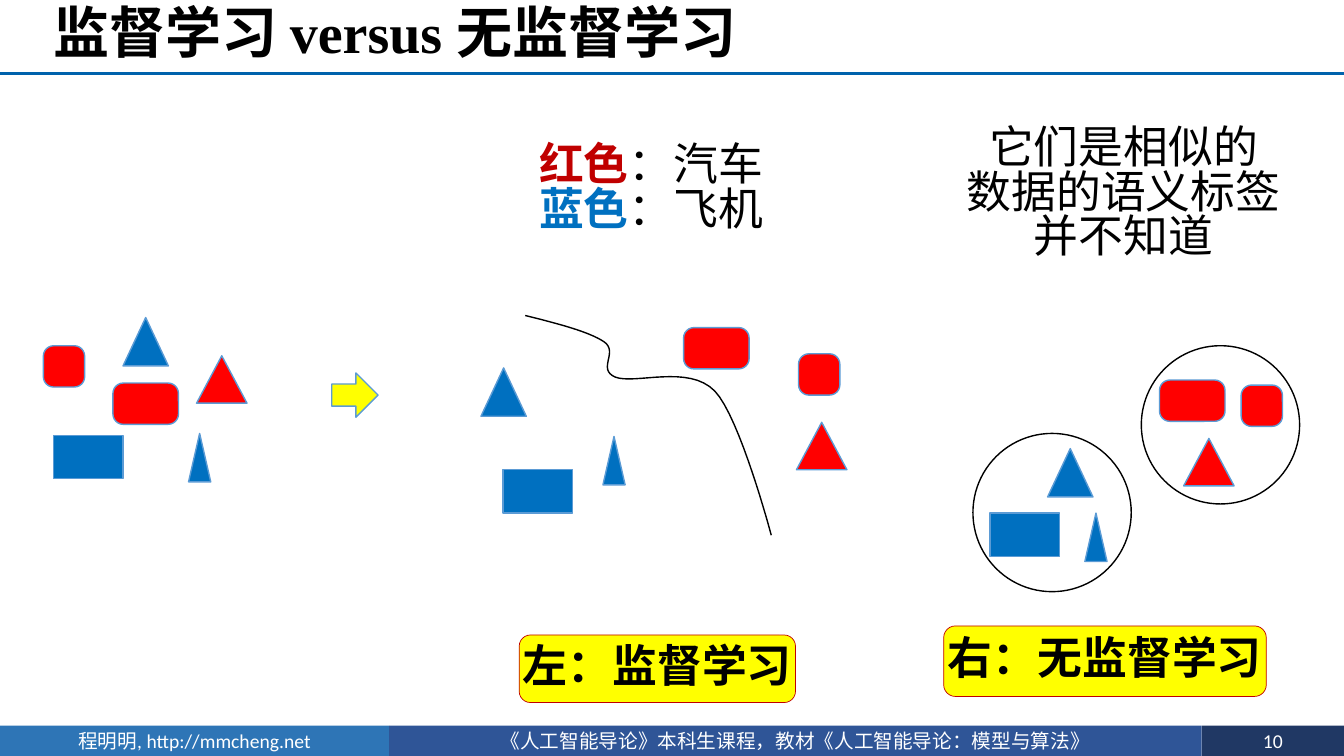
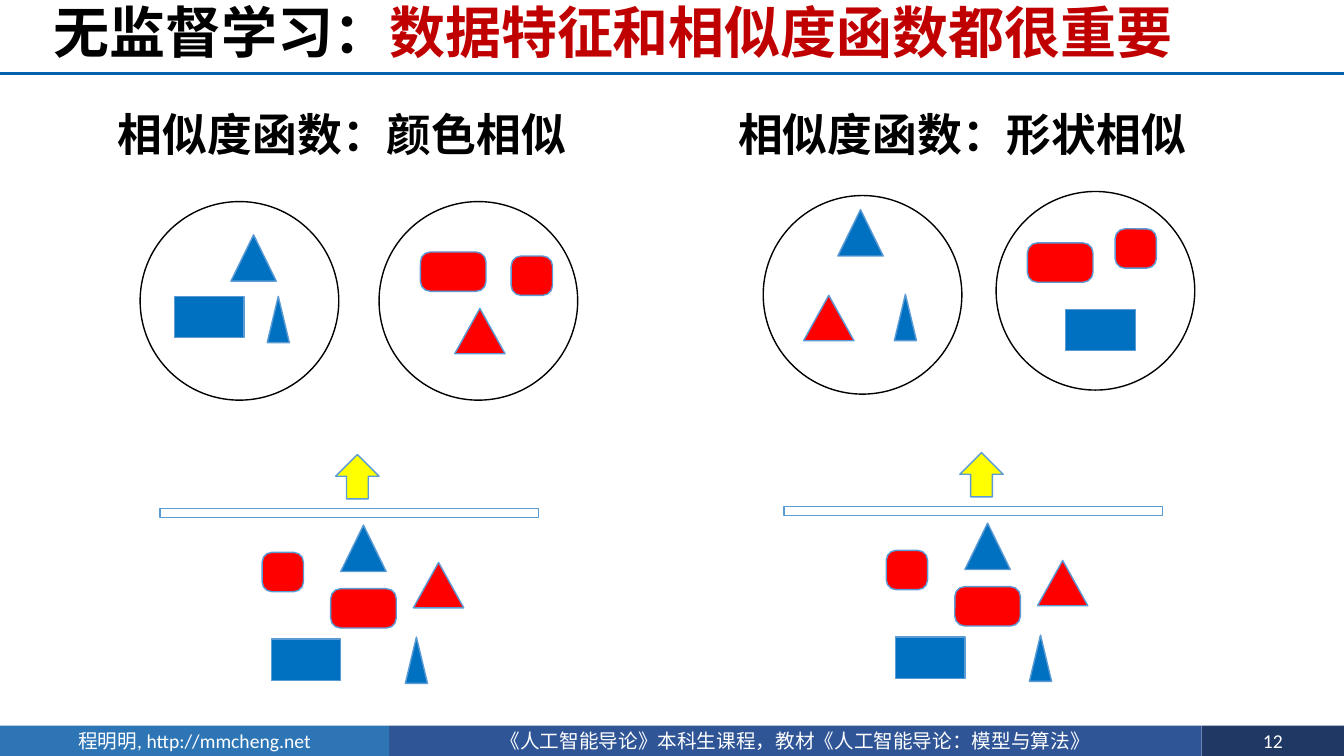
"""Two lecture slides comparing supervised and unsupervised learning."""
from lxml.etree import SubElement
from pptx import Presentation
from pptx.dml.color import RGBColor
from pptx.enum.shapes import MSO_CONNECTOR, MSO_SHAPE
from pptx.enum.text import MSO_ANCHOR, MSO_AUTO_SIZE, PP_ALIGN
from pptx.oxml.ns import qn
from pptx.util import Pt

EMU_PER_PX = 9144
SLIDE_SIZE = (1333, 750)


class Theme:
    """Colours, fonts and type sizes of the deck."""
    black, white, yellow = "000000", "FFFFFF", "FFFF00"
    crimson, red, blue = "C00000", "FF0000", "0070C0"
    outline, rule = "5B9BD5", "0062AC"
    footer = ("2E75B6", "2F5597", "203864")
    cjk, latin, serif = "Noto Sans CJK SC", "Calibri", "Times New Roman"
    title, body, small = 40, 32, 14
    leading = 0.83


TITLE_BOX = (43, 0, 1290, 73)
RULE_Y = 73
FOOTER_TOP, FOOTER_HEIGHT = 720, 34
FOOTER_EDGES = (0, 386, 1192, 1333)
FOOTER_TEXTS = ("程明明, http://mmcheng.net",
                "《人工智能导论》本科生课程，教材《人工智能导论：模型与算法》")

PIECES = {
    "red square": (MSO_SHAPE.ROUNDED_RECTANGLE, 41, 41, Theme.red),
    "red bar": (MSO_SHAPE.ROUNDED_RECTANGLE, 65, 41, Theme.red),
    "red triangle": (MSO_SHAPE.ISOSCELES_TRIANGLE, 50, 47, Theme.red),
    "blue triangle": (MSO_SHAPE.ISOSCELES_TRIANGLE, 45, 48, Theme.blue),
    "blue spike": (MSO_SHAPE.ISOSCELES_TRIANGLE, 22, 48, Theme.blue),
    "blue box": (MSO_SHAPE.RECTANGLE, 69, 43, Theme.blue),
}
CORNER = 0.25

VERSUS = {
    "number": "10",
    "title": [("监督学习 ", {}), ("versus ", {"face": Theme.serif}), ("无监督学习", {})],
    "squash": 1,
    "clusters": [
        (None, {"red square": (43, 343), "red bar": (112, 380), "blue triangle": (122, 315),
                "blue spike": (187, 430), "blue box": (53, 432), "red triangle": (195, 353)}),
        (None, {"red bar": (678, 325), "red square": (792, 351), "blue triangle": (477, 365),
                "blue spike": (598, 433), "red triangle": (790, 419), "blue box": (499, 466)}),
        ((965, 430, 157), {"blue triangle": (1039, 445), "blue spike": (1076, 509),
                           "blue box": (982, 509)}),
        ((1132, 343, 157), {"red bar": (1150, 377), "red square": (1231, 382),
                            "red triangle": (1174, 435)}),
    ],
}
COLOUR_KEY = ((509, 139, 274, 118), [[
    ("红色", {"color": Theme.crimson, "bold": True}), ("：汽车 ", {}),
    ("蓝色", {"color": Theme.blue, "bold": True}), ("：飞机", {})]])
UNLABELLED = ((938, 122, 353, 172), [[("它们是相似的", {})], [("数据的语义标签并不知道", {})]])
CAPTIONS = [((515, 630, 274, 67), "左：监督学习"), ((936, 621, 320, 70), "右：无监督学习")]
BOUNDARY_START = (521, 313)
BOUNDARY_CURVES = [
    ((553, 321), (584, 329), (599, 339)), ((614, 349), (592, 366), (610, 374)),
    ((629, 382), (683, 361), (709, 388)), ((734, 414), (765, 531), (765, 531))]
BOUNDARY_STEPS = 16
NEXT_ARROW = (330, 369, 44, 46)

SIMILARITY = {
    "number": "12",
    "title": [("无监督学习：", {}), ("数据特征和相似度函数都很重要", {"color": Theme.crimson})],
    "squash": 0.96,
    "clusters": [
        ((139, 200, 197), {"blue triangle": (229, 233), "blue spike": (265, 294),
                           "blue box": (173, 294)}),
        ((376, 200, 197), {"red bar": (417, 250), "red square": (507, 254),
                           "red triangle": (451, 306)}),
        ((988, 190, 197), {"red bar": (1019, 241), "red square": (1106, 227),
                           "blue box": (1057, 307)}),
        ((757, 194, 197), {"blue triangle": (831, 208), "blue spike": (887, 292),
                           "red triangle": (797, 293)}),
    ],
}
MEASURES = [("相似度函数：颜色相似", 104, 0, 0), ("相似度函数：形状相似", 719, 619, -2)]
MEASURE_TOP, MEASURE_SIZE = 110, (471, 64)
INPUT_ARROW, INPUT_BAR = (333, 451, 43, 44), (91, 490, 511, 38)
INPUT_PIECES = {"red square": (260, 548), "red bar": (328, 584), "blue triangle": (338, 521),
                "blue spike": (402, 632), "blue box": (269, 634), "red triangle": (410, 558)}


def px(*lengths):
    """Turn px lengths into EMU."""
    return [round(length * EMU_PER_PX) for length in lengths]


def assign(target, values):
    """Set each attribute in values on target."""
    for name, value in values.items():
        setattr(target, name, value)


def paint(shape, fill=None, line=None, weight=1):
    """Give a shape plain fill and line without shadow."""
    shape.shadow.inherit = False
    if fill:
        shape.fill.solid()
        shape.fill.fore_color.rgb = RGBColor.from_string(fill)
    else:
        shape.fill.background()
    if line:
        shape.line.color.rgb = RGBColor.from_string(line)
        shape.line.width = Pt(weight)
    else:
        shape.line.fill.background()
    return shape


def write(frame, paragraphs, size=Theme.body, color=Theme.black, face=Theme.cjk, bold=False,
          align=PP_ALIGN.CENTER, **frame_format):
    """Fill a text frame with paragraphs of (text, overrides) runs."""
    assign(frame, {"auto_size": MSO_AUTO_SIZE.NONE, "word_wrap": True, **frame_format})
    for index, runs in enumerate(paragraphs):
        paragraph = frame.add_paragraph() if index else frame.paragraphs[0]
        assign(paragraph, {"alignment": align, "line_spacing": Theme.leading})
        for text, overrides in runs:
            look = {"color": color, "face": face, "bold": bold, **overrides}
            run = paragraph.add_run()
            run.text = text
            assign(run.font, {"size": Pt(size), "bold": look["bold"], "name": look["face"]})
            run.font.color.rgb = RGBColor.from_string(look["color"])
            SubElement(run.font._element, qn("a:ea"), typeface=Theme.cjk)


def add_frame(deck, content):
    """Add a slide with title, rule and footer bands."""
    slide = deck.slides.add_slide(deck.slide_layouts[5])
    title = slide.shapes.title
    assign(title, dict(zip(("left", "top", "width", "height"), px(*TITLE_BOX))))
    write(title.text_frame, [content["title"]], size=Theme.title, bold=True, align=PP_ALIGN.LEFT,
          vertical_anchor=MSO_ANCHOR.MIDDLE, margin_top=0, margin_bottom=0)
    rule = slide.shapes.add_connector(MSO_CONNECTOR.STRAIGHT, *px(0, RULE_Y, SLIDE_SIZE[0], RULE_Y))
    rule.line.color.rgb = RGBColor.from_string(Theme.rule)
    rule.line.width = Pt(2)
    SubElement(rule._element.spPr, qn("a:effectLst"))
    texts = (*FOOTER_TEXTS, content["number"])
    for left, right, fill, text in zip(FOOTER_EDGES, FOOTER_EDGES[1:], Theme.footer, texts):
        band = slide.shapes.add_shape(
            MSO_SHAPE.RECTANGLE, *px(left, FOOTER_TOP, right - left, FOOTER_HEIGHT))
        write(paint(band, fill).text_frame, [[(text, {})]], size=Theme.small, color=Theme.white,
              face=Theme.latin, vertical_anchor=MSO_ANCHOR.MIDDLE, margin_top=0, margin_bottom=0)
    for circle, pieces in content["clusters"]:
        cluster = slide.shapes.add_group_shape().shapes
        if circle:
            left, top, diameter = circle
            ring = cluster.add_shape(MSO_SHAPE.OVAL, *px(left, top, diameter, diameter))
            paint(ring, Theme.white, Theme.black)
        add_pieces(cluster, pieces, content["squash"])
    return slide.shapes


def add_pieces(shapes, pieces, squash, dx=0, dy=0):
    """Draw the named data pieces at their places."""
    for name, (left, top) in pieces.items():
        preset, width, height, fill = PIECES[name]
        piece = shapes.add_shape(preset, *px(left + dx, top + dy, width, round(height * squash)))
        if preset == MSO_SHAPE.ROUNDED_RECTANGLE:
            piece.adjustments[0] = CORNER
        paint(piece, fill, Theme.outline)


def add_symbol(shapes, preset, box, fill, dx=0, dy=0):
    """Draw an outlined arrow or bar."""
    left, top, width, height = box
    symbol = shapes.add_shape(preset, *px(left + dx, top + dy, width, height))
    return paint(symbol, fill, Theme.outline)


def add_text(shapes, box, paragraphs, **look):
    """Add a text box."""
    write(shapes.add_textbox(*px(*box)).text_frame, paragraphs, **look)


def boundary_points():
    """Trace the class boundary along its cubic curves."""
    start, points = BOUNDARY_START, []
    for first, second, end in BOUNDARY_CURVES:
        for step in range(1, BOUNDARY_STEPS + 1):
            t = step / BOUNDARY_STEPS
            weights = ((1 - t) ** 3, 3 * t * (1 - t) ** 2, 3 * t * t * (1 - t), t ** 3)
            controls = (start, first, second, end)
            points.append(px(*(sum(w * c[axis] for w, c in zip(weights, controls))
                               for axis in (0, 1))))
        start = end
    return points


def add_versus(deck):
    """Build the supervised versus unsupervised slide."""
    shapes = add_frame(deck, VERSUS)
    boundary = shapes.build_freeform(*px(*BOUNDARY_START))
    boundary.add_line_segments(boundary_points(), close=False)
    paint(boundary.convert_to_shape(), line=Theme.black)
    for box, paragraphs in (COLOUR_KEY, UNLABELLED):
        add_text(shapes, box, paragraphs)
    margin = px(8)[0]
    for box, text in CAPTIONS:
        caption = shapes.add_shape(MSO_SHAPE.ROUNDED_RECTANGLE, *px(*box))
        paint(caption, Theme.yellow, Theme.crimson, 0.5)
        write(caption.text_frame, [[(text, {})]], bold=True, word_wrap=False,
              vertical_anchor=MSO_ANCHOR.MIDDLE, margin_left=margin, margin_right=margin,
              margin_top=0, margin_bottom=0)
    add_symbol(shapes, MSO_SHAPE.UP_ARROW, NEXT_ARROW, Theme.yellow).rotation = 90


def add_similarity(deck):
    """Build the similarity function slide."""
    shapes = add_frame(deck, SIMILARITY)
    for text, left, dx, dy in MEASURES:
        add_text(shapes, (left, MEASURE_TOP, *MEASURE_SIZE), [[(text, {})]],
                 bold=True, word_wrap=False)
        source = shapes.add_group_shape().shapes
        add_symbol(source, MSO_SHAPE.UP_ARROW, INPUT_ARROW, Theme.yellow, dx, dy)
        add_symbol(source, MSO_SHAPE.MATH_MINUS, INPUT_BAR, Theme.white, dx, dy)
        add_pieces(source, INPUT_PIECES, SIMILARITY["squash"], dx, dy)


def main():
    """Build and save the deck."""
    deck = Presentation()
    deck.slide_width, deck.slide_height = px(*SLIDE_SIZE)
    add_versus(deck)
    add_similarity(deck)
    deck.save("out.pptx")


if __name__ == "__main__":
    main()
